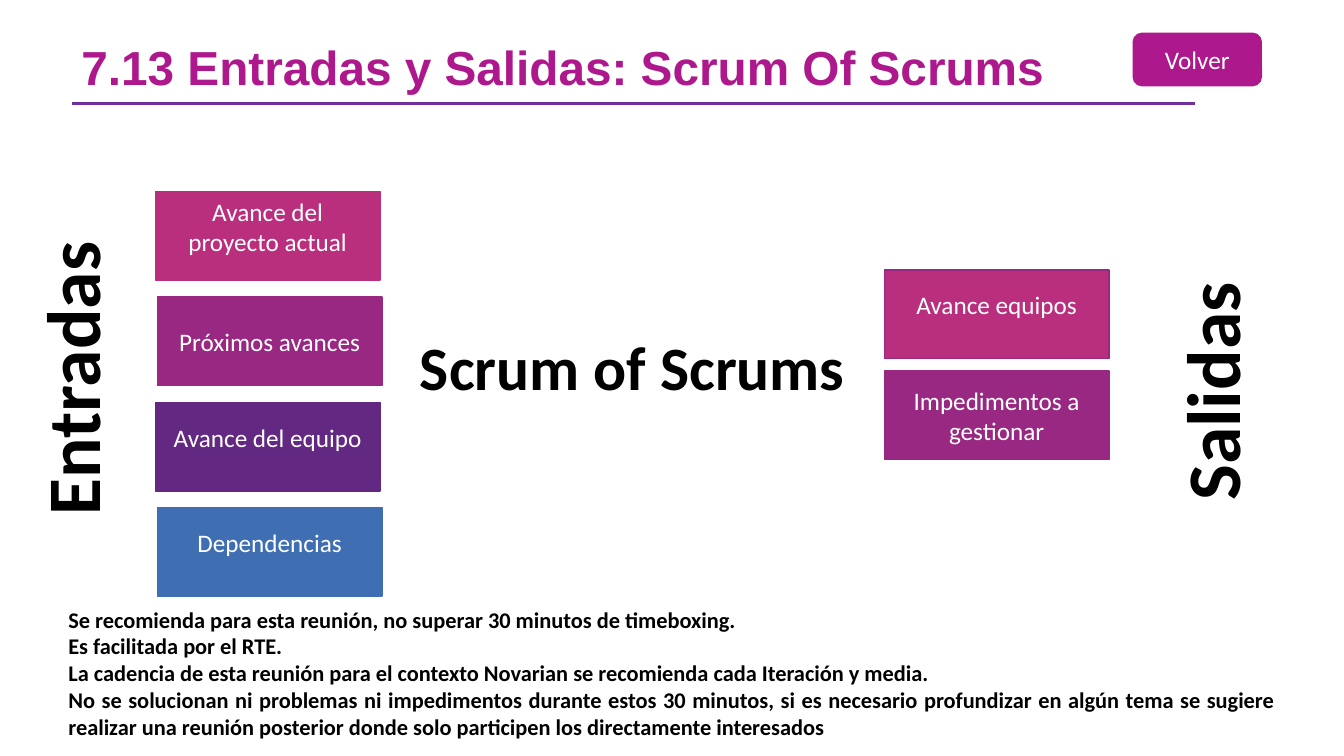
import pptx
import pptx.util
import pptx.dml.color
import pptx.enum.shapes
import pptx.enum.text
import pptx.oxml.ns
from lxml import etree

Pt = pptx.util.Pt
SHAPE = pptx.enum.shapes.MSO_SHAPE
ALIGN = pptx.enum.text.PP_ALIGN
ANCHOR = pptx.enum.text.MSO_ANCHOR
qn = pptx.oxml.ns.qn

CELL = pptx.util.Inches(0.1)  # grid of tenths of an inch
MAGENTA, PINK, PLUM, VIOLET, BLUE = "AD198D", "BA2F7D", "982881", "632881", "406EB3"


def color(hex_code):
    return pptx.dml.color.RGBColor.from_string(hex_code)


def add_text(area, lines, size, ink, fill=None, border=None, preset=SHAPE.RECTANGLE,
             align=ALIGN.CENTER, bold=False, font="Calibri"):
    """Place text at (column, row, columns, rows), in a filled shape if fill is given."""
    place = [round(cells * CELL) for cells in area]
    if fill:
        item = slide.shapes.add_shape(preset, *place)
        item.shadow.inherit = False
        item.fill.solid()
        item.fill.fore_color.rgb = color(fill)
        item.line.color.rgb = color(border or fill)
        item.line.width = Pt(1)
    else:
        item = slide.shapes.add_textbox(*place)
    frame = item.text_frame
    frame.text = lines
    frame.word_wrap = True
    frame.vertical_anchor = ANCHOR.MIDDLE if fill else ANCHOR.TOP
    for paragraph in frame.paragraphs:
        paragraph.alignment = align
        for run in paragraph.runs:
            run.font.name, run.font.size, run.font.bold = font, Pt(size), bold
            run.font.color.rgb = color(ink)
    return item


deck = pptx.Presentation()
deck.slide_width, deck.slide_height = round(133.3 * CELL), 75 * CELL
slide = deck.slides.add_slide(deck.slide_layouts[6])

# Heading with its rule and the return button
rule = slide.shapes.add_connector(
    pptx.enum.shapes.MSO_CONNECTOR.STRAIGHT,
    *[round(cells * CELL) for cells in (7.1, 10.3, 118.5, 10.3)])
rule.line.color.rgb = color("7030A0")
rule.line.width = Pt(2.25)
etree.SubElement(rule._element.spPr, qn("a:effectLst"))

heading = add_text((7.1, 4.2, 103.3, 6.1), "7.13 Entradas y Salidas: Scrum Of Scrums",
                   34.1, MAGENTA, align=ALIGN.LEFT, bold=True, font="Arial")
heading.text_frame.vertical_anchor = ANCHOR.MIDDLE
heading.text_frame.paragraphs[0].line_spacing = 0.7

add_text((112.4, 3.3, 12.7, 5.2), "Volver", 18, "FFFFFF", MAGENTA,
         preset=SHAPE.ROUNDED_RECTANGLE)

# Inputs and outputs: left columns, first row, row step, then
# label, fill, border and whether the label sits above the middle
inputs = ((15.4, 15.6), 19, 10.45, (
    ("Avance del proyecto actual", PINK, PINK, True),
    ("Próximos avances", PLUM, PLUM, False),
    ("Avance del equipo", VIOLET, VIOLET, True),
    ("Dependencias", BLUE, BLUE, True)))
outputs = ((87.7, 87.7), 26.8, 10, (
    ("Avance equipos", PINK, PLUM, True),
    ("Impedimentos a gestionar", PLUM, PLUM, False)))

for columns, first_row, step, boxes in (inputs, outputs):
    for index, (label, fill, border, raised) in enumerate(boxes):
        box = add_text((columns[index % 2], first_row + index * step, 22.3, 8.8),
                       label, 18, "FFFFFF", fill, border)
        if raised:
            box.text_frame.margin_bottom = round(2.4 * CELL)

# Large captions with a thin white outline
captions = (
    ("Scrum of Scrums", (40.5, 32.1, 44.5, 8.4), 44, 0, 1.06),
    ("Entradas", (-7.7, 32.5, 29.4, 10.1), 54, 270, 0.75),
    ("Salidas", (108.1, 33.8, 23.9, 10.1), 54, 270, 0.75))
for words, area, size, angle, outline_width in captions:
    caption = add_text(area, words, size, "000000", bold=True)
    caption.rotation = angle
    caption.text_frame.word_wrap = False
    caption.text_frame.auto_size = pptx.enum.text.MSO_AUTO_SIZE.SHAPE_TO_FIT_TEXT
    properties = caption.text_frame.paragraphs[0].runs[0]._r.get_or_add_rPr()
    outline = etree.Element(qn("a:ln"), w=str(Pt(outline_width)))
    outline_fill = etree.SubElement(outline, qn("a:solidFill"))
    etree.SubElement(outline_fill, qn("a:srgbClr"), val="FFFFFF")
    properties.insert(0, outline)

# Recommendations
recommendations = (
    "Se recomienda para esta reunión, no superar 30 minutos de timeboxing.",
    "Es facilitada por el RTE.",
    "La cadencia de esta reunión para el contexto Novarian se recomienda cada "
    "Iteración y media.",
    "No se solucionan ni problemas ni impedimentos durante estos 30 minutos, si es "
    "necesario profundizar en algún tema se sugiere realizar una reunión posterior "
    "donde solo participen los directamente interesados")
add_text((5.8, 59.6, 121.7, 14.5), "\n".join(recommendations), 16, "000000",
         align=ALIGN.JUSTIFY, bold=True)

deck.save("out.pptx")
